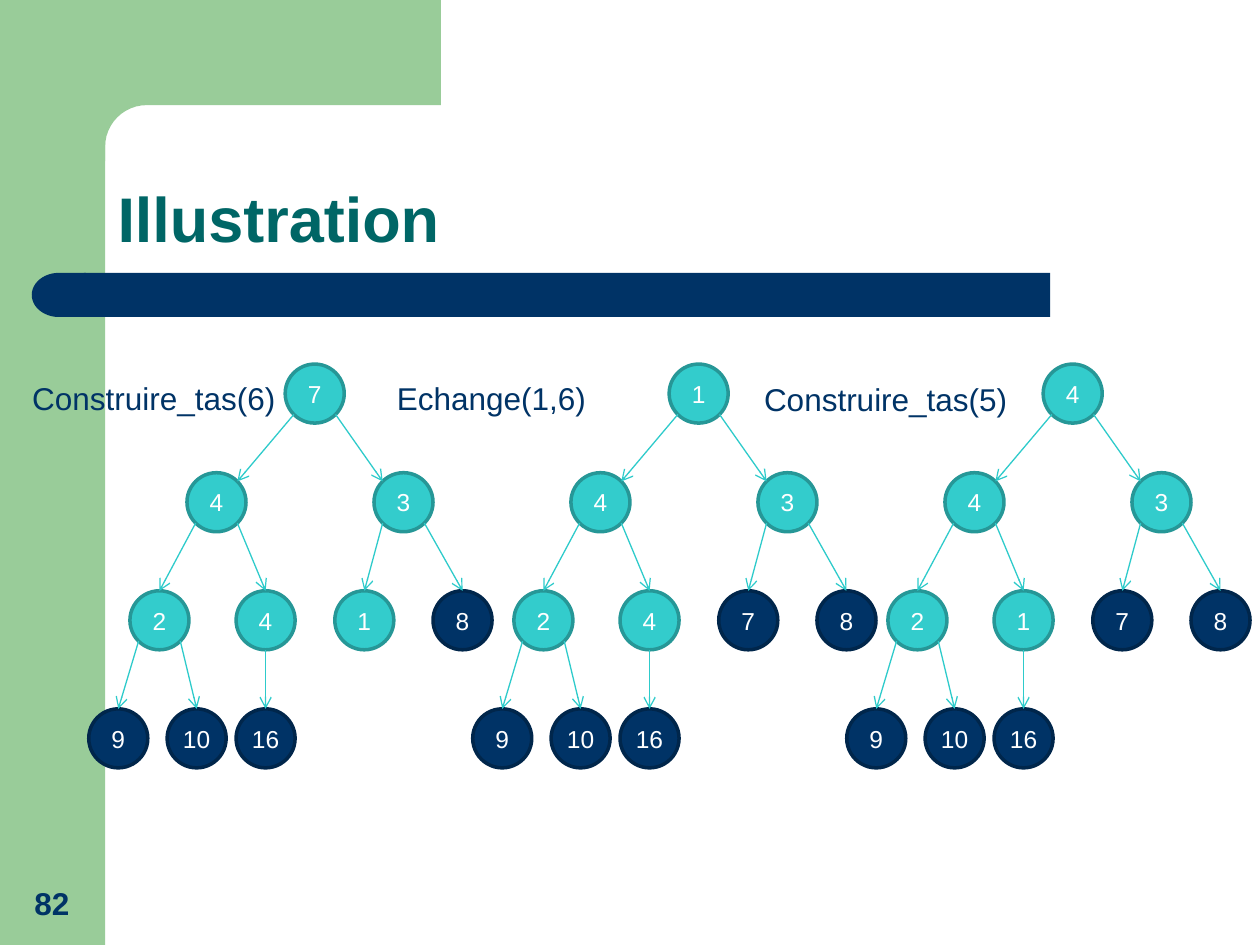
import math
from dataclasses import dataclass

import pptx
import pptx.dml.color
import pptx.enum.shapes
import pptx.enum.text
import pptx.oxml
import pptx.oxml.ns
import pptx.util
from pptx.util import Cm

KIND = pptx.enum.shapes.MSO_SHAPE
ALIGN = pptx.enum.text.PP_ALIGN
ANCHOR = pptx.enum.text.MSO_ANCHOR
GREEN, NAVY, TEAL, WHITE = "99CC99", "003366", "006666", "FFFFFF"
LIVE, DONE = ("33CCCC", "269797"), (NAVY, "00264B")
EDGE = "2ECBCB"

# Lengths are in centimetres
SIZE = 1.19
HALF = SIZE / 2
ROWS = (7.34, 9.53, 11.91, 14.29)
# Left edge of each node in heap order, within a tree
LEFTS = (5.75, 3.77, 7.54, 2.62, 4.76, 6.75, 8.73, 1.79, 3.37, 4.76)


@dataclass
class Label:
    text: str
    left: float
    top: float
    width: float
    height: float
    size: int = 18
    color: str = NAVY
    bold: bool = False
    align: ALIGN = ALIGN.LEFT
    anchor: ANCHOR = ANCHOR.TOP
    space: float = 1.0
    grow: bool = False


@dataclass
class Tree:
    label: Label
    shift: float
    keys: tuple[int, ...]
    live: int


def rgb(code: str) -> pptx.dml.color.RGBColor:
    return pptx.dml.color.RGBColor.from_string(code)


def paint(shape, fill: str, line: str | None = None) -> None:
    shape.shadow.inherit = False
    shape.fill.solid()
    shape.fill.fore_color.rgb = rgb(fill)
    if line:
        shape.line.color.rgb = rgb(line)
        shape.line.width = pptx.util.Pt(2)
    else:
        shape.line.fill.background()


def write(frame, text: str, size: int, color: str, bold: bool, align: ALIGN) -> None:
    frame.text = text
    para = frame.paragraphs[0]
    para.alignment = align
    font = para.runs[0].font
    font.name, font.size, font.bold = "Arial", pptx.util.Pt(size), bold
    font.color.rgb = rgb(color)


def add_block(slide, kind: KIND, left: float, top: float, width: float,
              height: float, fill: str, line: str | None = None):
    shape = slide.shapes.add_shape(kind, Cm(left), Cm(top), Cm(width), Cm(height))
    paint(shape, fill, line)
    return shape


def add_label(slide, label: Label) -> None:
    box = slide.shapes.add_textbox(
        Cm(label.left), Cm(label.top), Cm(label.width), Cm(label.height))
    frame = box.text_frame
    frame.word_wrap = True
    frame.vertical_anchor = label.anchor
    if label.grow:
        frame.auto_size = pptx.enum.text.MSO_AUTO_SIZE.SHAPE_TO_FIT_TEXT
    write(frame, label.text, label.size, label.color, label.bold, label.align)
    frame.paragraphs[0].line_spacing = label.space


def add_node(slide, key: int, left: float, top: float, live: bool) -> None:
    node = add_block(slide, KIND.OVAL, left, top, SIZE, SIZE, *(LIVE if live else DONE))
    frame = node.text_frame
    frame.margin_left = frame.margin_right = frame.margin_top = frame.margin_bottom = 0
    frame.vertical_anchor = ANCHOR.MIDDLE
    write(frame, str(key), 14, WHITE, False, ALIGN.CENTER)


def rim(left: float, top: float, side: int, down: int) -> tuple[float, float]:
    """Point on a node's rim: middle (side 0) or diagonal, above or below."""
    reach = HALF * math.sqrt(0.5) if side else HALF
    return left + HALF + side * reach, top + HALF + down * reach


def add_edge(slide, start: tuple[float, float], end: tuple[float, float]) -> None:
    edge = slide.shapes.add_connector(
        pptx.enum.shapes.MSO_CONNECTOR.STRAIGHT, *(Cm(v) for v in start + end))
    edge.line.color.rgb = rgb(EDGE)
    edge.line.width = pptx.util.Pt(0.75)
    tail = pptx.oxml.parse_xml(
        f'<a:tailEnd {pptx.oxml.ns.nsdecls("a")} type="arrow"/>')
    edge.line._get_or_add_ln().append(tail)
    edge._element.spPr.append(
        pptx.oxml.parse_xml(f'<a:effectLst {pptx.oxml.ns.nsdecls("a")}/>'))


def add_tree(slide, tree: Tree) -> None:
    add_label(slide, tree.label)
    rows = [(i + 1).bit_length() - 1 for i in range(len(tree.keys))]
    spots = [(left + tree.shift, ROWS[row]) for left, row in zip(LEFTS, rows)]
    for i, (key, spot) in enumerate(zip(tree.keys, spots)):
        add_node(slide, key, *spot, i < tree.live)
    for i in range(1, len(spots)):
        root, child = spots[(i - 1) // 2], spots[i]
        side = (child[0] > root[0]) - (child[0] < root[0])
        turn = -side if rows[i] == 1 else 0
        add_edge(slide, rim(*root, side, 1), rim(*child, turn, -1))


def add_frame(slide) -> None:
    # Green side band and top corner with a round inner edge
    add_block(slide, KIND.RECTANGLE, 0, 0, 2.12, 19.05, GREEN)
    arc = [(2.96 - 0.84 * math.sin(a), 2.96 - 0.84 * math.cos(a))
           for a in (math.pi / 24 * n for n in range(13))]
    points = [(8.89, 2.12), *arc, (2.12, 3.25), (1.27, 3.25), (1.27, 0)]
    pen = slide.shapes.build_freeform(Cm(8.89), 0)
    pen.add_line_segments([(Cm(x), Cm(y)) for x, y in points], close=True)
    paint(pen.convert_to_shape(), GREEN)
    # Navy bar with a round left cap
    bar = add_block(slide, KIND.ROUNDED_RECTANGLE, 1.69, 5.5, 19.48, 0.89, NAVY)
    bar.adjustments[0] = 0
    cap = add_block(slide, KIND.FLOWCHART_DELAY, 0.64, 5.5, 1.09, 0.89, NAVY)
    cap.rotation = 180


TEXTS = (
    Label("Illustration", 2.12, 2.12, 22.01, 3.17, 36, TEAL, True,
          anchor=ANCHOR.BOTTOM, space=0.9),
    Label("82", 0.23, 17.35, 1.63, 1.35, bold=True, align=ALIGN.CENTER,
          anchor=ANCHOR.BOTTOM),
)
TREES = (
    Tree(Label("Construire_tas(6)", 0.4, 7.52, 5.95, 1.02, grow=True),
         0, (7, 4, 3, 2, 4, 1, 8, 9, 10, 16), 6),
    Tree(Label("Echange(1,6)", 7.75, 7.52, 5.95, 1.02, grow=True),
         7.74, (1, 4, 3, 2, 4, 7, 8, 9, 10, 16), 5),
    Tree(Label("Construire_tas(5)", 14.88, 7.54, 5.95, 1.02,
               align=ALIGN.CENTER, grow=True),
         15.28, (4, 4, 3, 2, 1, 7, 8, 9, 10, 16), 5),
)


def main() -> None:
    deck = pptx.Presentation()
    deck.slide_width, deck.slide_height = Cm(25.4), Cm(19.05)
    slide = deck.slides.add_slide(deck.slide_layouts[6])
    add_frame(slide)
    for label in TEXTS:
        add_label(slide, label)
    for tree in TREES:
        add_tree(slide, tree)
    deck.save("out.pptx")


if __name__ == "__main__":
    main()
